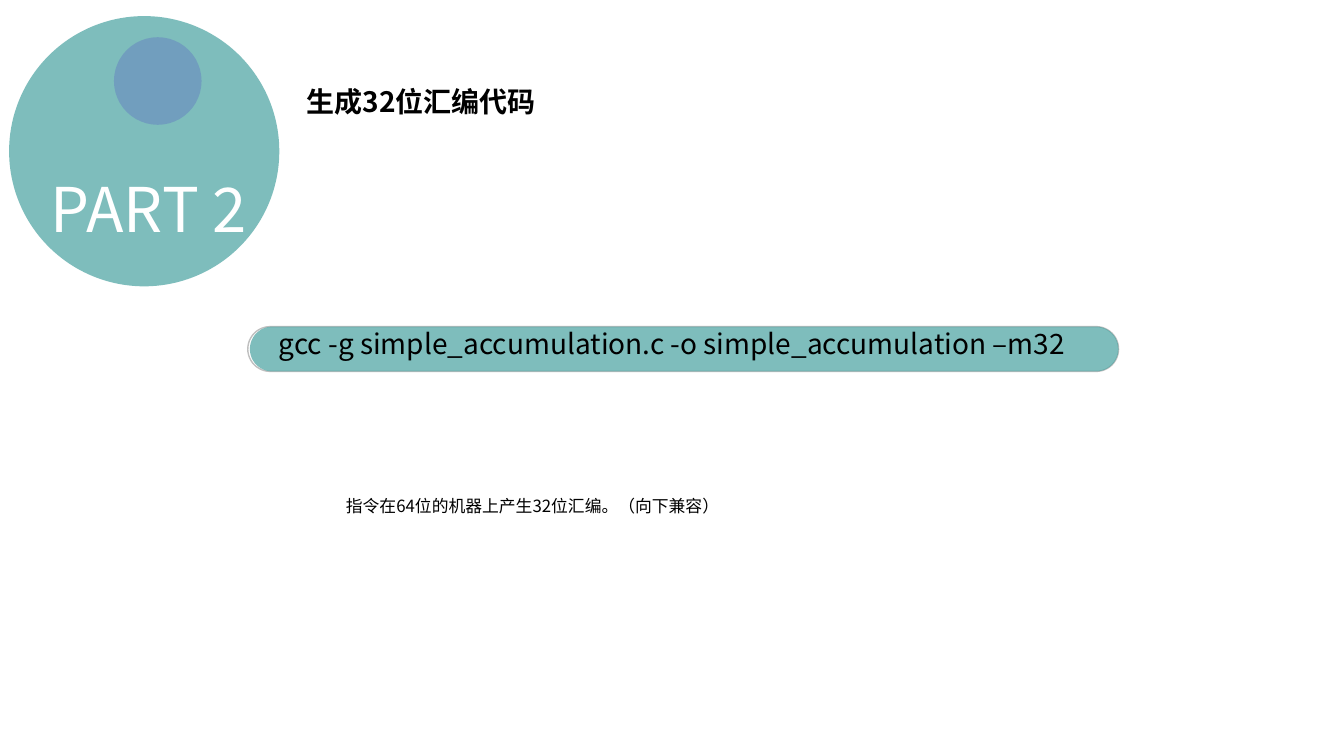
from dataclasses import dataclass

from lxml.etree import SubElement
from pptx import Presentation
from pptx.dml.color import RGBColor
from pptx.enum.shapes import MSO_SHAPE
from pptx.enum.text import MSO_ANCHOR, MSO_AUTO_SIZE, PP_ALIGN
from pptx.oxml.ns import qn
from pptx.util import Pt

FONT = "Noto Sans CJK SC"
TEAL, BLUE, GREY = "48A2A0", "6C92C0", "BFBFBF"
WHITE, BLACK = "FFFFFF", "000000"
ALPHA = 70  # opacity of filled shapes, percent
LEADING = 1.25  # line height over font size


@dataclass
class Box:
    left: float
    top: float
    width: float
    height: float

    def place(self, shape) -> None:
        shape.left, shape.top = Pt(self.left), Pt(self.top)
        shape.width, shape.height = Pt(self.width), Pt(self.height)


@dataclass
class Form:
    kind: MSO_SHAPE
    box: Box
    fill: str = ""
    line: str = ""


@dataclass
class Label:
    text: str
    box: Box
    size: float
    color: str = BLACK
    align: PP_ALIGN = PP_ALIGN.LEFT


def paint(target, color: str) -> None:
    target.solid()
    target.fore_color.rgb = RGBColor.from_string(color)


def draw(slide, form: Form) -> None:
    shape = slide.shapes.add_shape(form.kind, 0, 0, 0, 0)
    form.box.place(shape)
    shape.shadow.inherit = False
    if form.kind == MSO_SHAPE.ROUNDED_RECTANGLE:
        shape.adjustments[0] = 0.5
    if form.fill:
        paint(shape.fill, form.fill)
        color = shape.fill._xPr.find(".//" + qn("a:srgbClr"))
        SubElement(color, qn("a:alpha"), val=str(ALPHA * 1000))
    else:
        shape.fill.background()
    if form.line:
        paint(shape.line.fill, form.line)
        shape.line.width = Pt(1)
    else:
        shape.line.fill.background()


def write(shape, text: str, *, size: float, color: str = BLACK,
          bold: bool = False, align: PP_ALIGN = PP_ALIGN.LEFT) -> None:
    frame = shape.text_frame
    frame.word_wrap = True
    frame.auto_size = MSO_AUTO_SIZE.NONE
    frame.vertical_anchor = MSO_ANCHOR.TOP
    para = frame.paragraphs[0]
    para.alignment = align
    para.line_spacing = Pt(size * LEADING)
    run = para.add_run()
    run.text = text
    font = run.font
    font.name, font.size, font.bold = FONT, Pt(size), bold
    paint(font.fill, color)
    latin = run._r.rPr.find(qn("a:latin"))
    latin.addnext(latin.makeelement(qn("a:ea"), {"typeface": FONT}))


FORMS = [
    # Part badge
    Form(MSO_SHAPE.OVAL, Box(6.5, 11.5, 193, 193), fill=TEAL),
    Form(MSO_SHAPE.OVAL, Box(81.4, 26.6, 62.6, 62.6), fill=BLUE),
    # Command bar
    Form(MSO_SHAPE.ROUNDED_RECTANGLE, Box(177, 233.3, 622, 32), line=GREY),
    Form(MSO_SHAPE.ROUNDED_RECTANGLE, Box(178.5, 233.3, 620.5, 32), fill=TEAL),
]
LABELS = [
    Label("PART 2", Box(6.5, 116, 200, 62), 44, WHITE, PP_ALIGN.CENTER),
    Label("指令在64位的机器上产生32位汇编。（向下兼容）",
          Box(240, 350, 497.5, 21.6), 12),
    Label("gcc -g simple_accumulation.c -o simple_accumulation –m32",
          Box(192, 229, 620.5, 55.5), 20),
]


def main() -> None:
    deck = Presentation()
    deck.slide_width, deck.slide_height = Pt(960), Pt(540)
    slide = deck.slides.add_slide(deck.slide_layouts[5])
    paint(slide.background.fill, WHITE)

    # Title
    title = slide.shapes.title
    Box(211.7, 55.5, 178.5, 31.7).place(title)
    write(title, "生成32位汇编代码", size=20, bold=True)

    # Shapes, then the text over them
    for form in FORMS:
        draw(slide, form)
    for label in LABELS:
        shape = slide.shapes.add_textbox(0, 0, 0, 0)
        label.box.place(shape)
        write(shape, label.text, size=label.size, color=label.color,
              align=label.align)
    deck.save("out.pptx")


if __name__ == "__main__":
    main()
